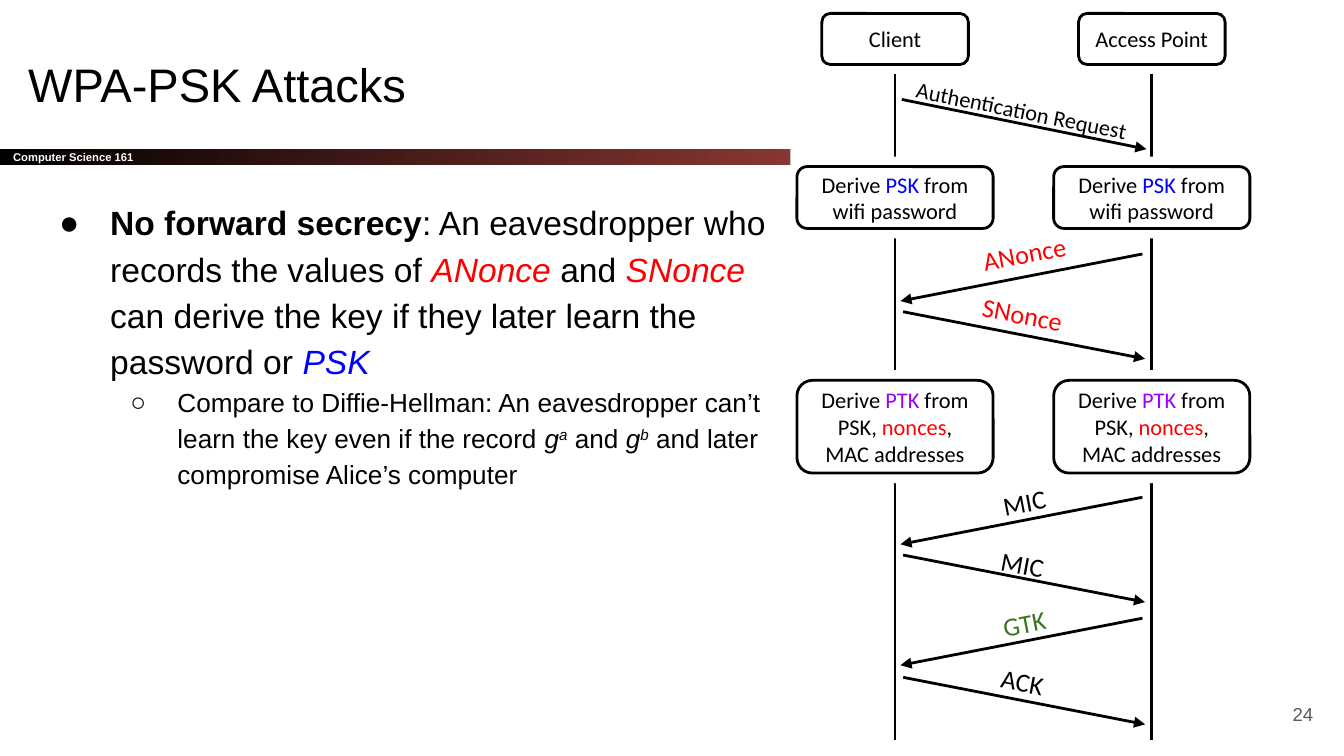
from dataclasses import dataclass

from lxml import etree
from pptx import Presentation
from pptx import util as u
from pptx.dml.color import RGBColor
from pptx.enum import shapes, text
from pptx.oxml.ns import qn


@dataclass(frozen=True)
class Theme:
    black: str = "000000"
    white: str = "FFFFFF"
    glow: str = "E85C54"
    grey: str = "595959"
    red: str = "FF0000"
    blue: str = "0000FF"
    purple: str = "9900FF"
    green: str = "38761D"
    sans: str = "Arial"
    diagram: str = "Calibri"
    title: float = 25.2
    point: float = 18
    detail: float = 14
    label: float = 12
    number: float = 10
    course: float = 6
    stroke: float = 1.5


THEME = Theme()
CELL = u.Inches(0.1)  # square grid: 100 columns across the slide
COLUMNS, ROWS = 100, 56.25


@dataclass(frozen=True)
class Box:
    """An area measured in grid columns and rows."""
    left: float
    top: float
    width: float
    height: float

    def area(self, left, top, width, height):
        return Box(self.left + left, self.top + top, width, height)

    def lengths(self):
        return [int(side * CELL) for side in (self.left, self.top, self.width, self.height)]


def move(shape, box):
    shape.left, shape.top, shape.width, shape.height = box.lengths()


def prepare(shape, anchor=text.MSO_ANCHOR.MIDDLE):
    frame = shape.text_frame
    frame.word_wrap = True
    frame.auto_size = text.MSO_AUTO_SIZE.NONE
    frame.vertical_anchor = anchor
    frame.margin_left = frame.margin_right = CELL
    frame.margin_top = frame.margin_bottom = CELL
    return frame


def write(para, pieces, size, font, align=text.PP_ALIGN.LEFT):
    """Pieces are (words, colour, style); style holds b, i or ^ (superscript)."""
    para.alignment = align
    for words, colour, style in pieces:
        span = para.add_run()
        span.text = words
        span.font.size, span.font.name = u.Pt(size), font
        span.font.color.rgb = RGBColor.from_string(colour)
        span.font.bold, span.font.italic = "b" in style, "i" in style
        if "^" in style:
            span.font._element.set("baseline", "30000")


def set_bullet(para, symbol, left, hang):
    props = para._p.get_or_add_pPr()
    props.set("marL", str(u.Inches(left)))
    props.set("indent", str(-u.Inches(hang)))
    colour = etree.SubElement(props, qn("a:buClr"))
    etree.SubElement(colour, qn("a:srgbClr"), val=THEME.black)
    etree.SubElement(props, qn("a:buFont"), typeface=THEME.sans)
    etree.SubElement(props, qn("a:buChar"), char=symbol)


def add_block(page, box, kind=shapes.MSO_SHAPE.RECTANGLE, fill=THEME.white, outlined=False):
    block = page.shapes.add_shape(kind, *box.lengths())
    block.shadow.inherit = False
    block.fill.solid()
    block.fill.fore_color.rgb = RGBColor.from_string(fill)
    if outlined:
        block.line.color.rgb = RGBColor.from_string(THEME.black)
        block.line.width = u.Pt(THEME.stroke)
    else:
        block.line.fill.background()
    return block


def add_line(page, box, arrow=False):
    left, top, width, height = box.lengths()
    line = page.shapes.add_connector(
        shapes.MSO_CONNECTOR.STRAIGHT, left, top, left + width, top + height)
    line.line.color.rgb = RGBColor.from_string(THEME.black)
    line.line.width = u.Pt(THEME.stroke)
    props = line._element.spPr
    if arrow:
        etree.SubElement(props.get_or_add_ln(), qn("a:tailEnd"), type="triangle")
    etree.SubElement(props, qn("a:effectLst"))


def build_header(page, box):
    # Course band, cut off where the diagram begins
    band = add_block(page, box.area(0, 11.1, COLUMNS, 1.2))
    band.fill.gradient()
    band.fill.gradient_angle = 0
    for stop, colour, place in zip(band.fill.gradient_stops, (THEME.black, THEME.glow), (0, 1)):
        stop.color.rgb = RGBColor.from_string(colour)
        stop.position = place
    write(prepare(band).paragraphs[0], [("Computer Science 161", THEME.white, "b")],
          THEME.course, THEME.sans)
    add_block(page, box.area(58.8, 10.3, 41.2, 2.6))

    # Title
    title = page.shapes.title
    move(title, box.area(1.1, 3, 93.2, 6.3))
    write(prepare(title, text.MSO_ANCHOR.BOTTOM).paragraphs[0],
          [("WPA-PSK Attacks", THEME.black, "")], THEME.title, THEME.sans)


def build_points(page, box):
    k, r = THEME.black, THEME.red
    points = [
        (0, "●", 0.5, 0.38, THEME.point, [
            ("No forward secrecy", k, "b"),
            (": An eavesdropper who records the values of ", k, ""),
            ("ANonce", r, "i"), (" and ", k, ""), ("SNonce", r, "i"),
            (" can derive the key if they later learn the password or ", k, ""),
            ("PSK", THEME.blue, "i")]),
        (1, "○", 1, 0.35, THEME.detail, [
            ("Compare to Diffie-Hellman: An eavesdropper can’t learn the key "
             "even if the record ", k, ""),
            ("g", k, "i"), ("a", k, "i^"), (" and ", k, ""),
            ("g", k, "i"), ("b", k, "i^"),
            (" and later compromise Alice’s computer", k, "")]),
    ]
    body = page.placeholders[1]
    move(body, box)
    frame = prepare(body, text.MSO_ANCHOR.TOP)
    for order, (level, symbol, left, hang, size, pieces) in enumerate(points):
        para = frame.add_paragraph() if order else frame.paragraphs[0]
        para.level = level
        para.line_spacing = 1.15
        para.space_before = para.space_after = u.Pt(0)
        set_bullet(para, symbol, left, hang)
        write(para, pieces, size, THEME.sans)


def add_step(page, box, pieces):
    """A rounded box with centred words."""
    step = add_block(page, box, shapes.MSO_SHAPE.ROUNDED_RECTANGLE, outlined=True)
    write(prepare(step).paragraphs[0], pieces, THEME.label, THEME.diagram,
          text.PP_ALIGN.CENTER)


def add_message(page, box, words, colour, size, rightward, tilt, label_row):
    """An arrow across the box, with a tilted label centred on label_row."""
    if rightward:
        add_line(page, box, arrow=True)
    else:
        add_line(page, box.area(box.width - 0.2, 0, -box.width, box.height), arrow=True)
    label = page.shapes.add_textbox(
        *box.area(-0.3, label_row - 1.85, 18.5, 3.7).lengths())
    label.rotation = tilt if rightward else -tilt
    write(prepare(label, text.MSO_ANCHOR.TOP).paragraphs[0], [(words, colour, "")],
          size, THEME.diagram, text.PP_ALIGN.CENTER)


def build_handshake(page, box):
    k = THEME.black
    lanes = [("Client", 7.8), ("Access Point", 26.9)]
    derivations = [
        (12.4, 4.6, [("Derive ", k, ""), ("PSK", THEME.blue, ""),
                     (" from wifi password", k, "")]),
        (28.3, 6.9, [("Derive ", k, ""), ("PTK", THEME.purple, ""), (" from PSK, ", k, ""),
                     ("nonces", THEME.red, ""), (", MAC addresses", k, "")]),
    ]
    # Lanes: party, lifeline and derivations that interrupt it
    for party, centre in lanes:
        add_line(page, box.area(centre, 5.5, 0, 49.6))
        add_step(page, box.area(centre - 5.45, 1, 10.9, 3.8), [(party, k, "")])
        for top, height, pieces in derivations:
            add_block(page, box.area(centre - 0.75, top - 0.75, 1.5, height + 1.5))
            add_step(page, box.area(centre - 7.3, top, 14.6, height), pieces)

    # Messages: the request, then alternating replies
    add_message(page, box.area(8.3, 7.4, 18.2, 3.7), "Authentication Request", k,
                THEME.label, True, 11.4, 0.65)
    messages = [
        ("ANonce", THEME.red, 18.9, -0.35), ("SNonce", THEME.red, 23.2, -0.15),
        ("MIC", k, 37, 0.05), ("MIC", k, 41.3, 0.35),
        ("GTK", THEME.green, 46, 0.05), ("ACK", k, 50.4, 0),
    ]
    for order, (words, colour, top, label_row) in enumerate(messages):
        add_message(page, box.area(8.4, top, 18, 3.5), words, colour, THEME.detail,
                    order % 2 == 1, 10.8, label_row)


def build_page_number(page, box):
    number = page.shapes.add_textbox(*box.lengths())
    write(prepare(number).paragraphs[0], [("24", THEME.grey, "")],
          THEME.number, THEME.sans, text.PP_ALIGN.RIGHT)


def main():
    deck = Presentation()
    deck.slide_width, deck.slide_height = int(COLUMNS * CELL), int(ROWS * CELL)
    page = deck.slides.add_slide(deck.slide_layouts[1])
    build_header(page, Box(0, 0, COLUMNS, 12.9))
    build_points(page, Box(2.2, 13.6, 56.2, 41.2))
    build_handshake(page, Box(58.8, 0, 41.2, 55.1))
    build_page_number(page, Box(92.7, 51, 6, 4.3))
    deck.save("out.pptx")


if __name__ == "__main__":
    main()
